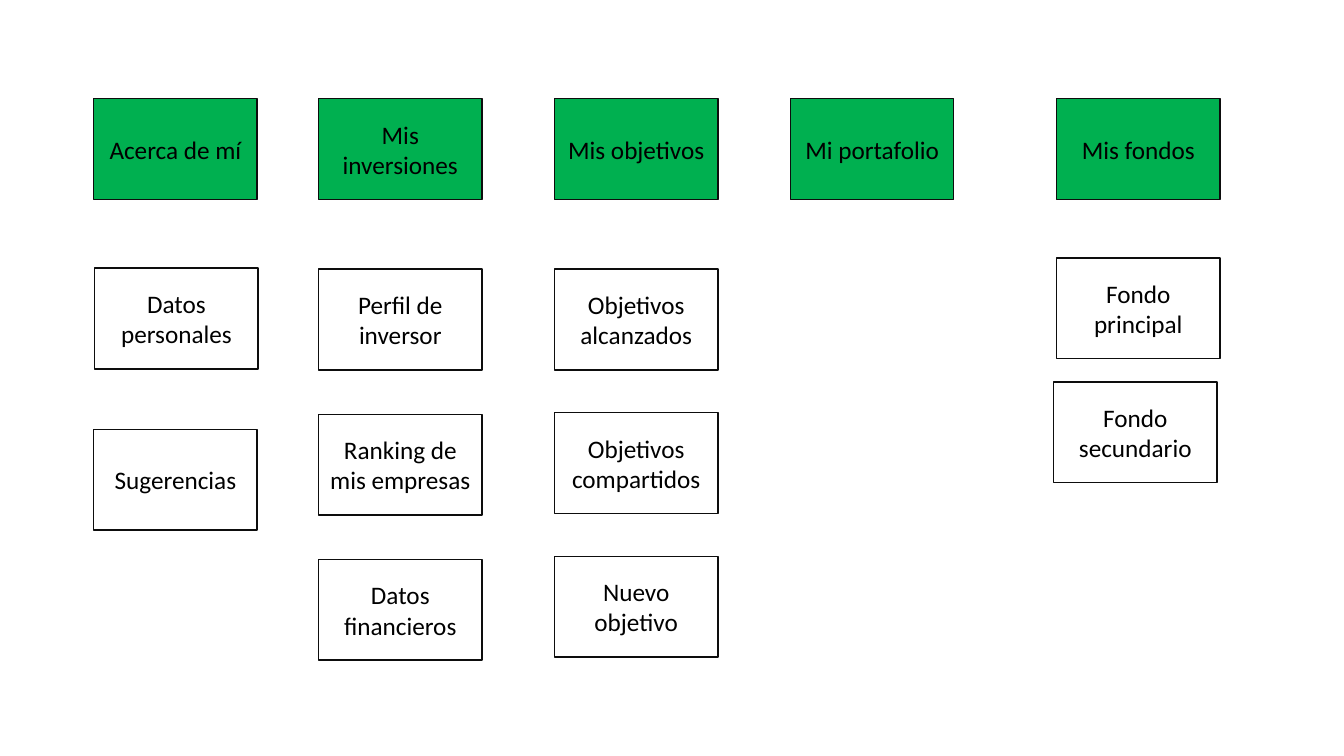
from dataclasses import dataclass

from pptx import Presentation
from pptx.dml.color import RGBColor
from pptx.enum.shapes import MSO_SHAPE
from pptx.enum.text import MSO_ANCHOR, PP_ALIGN
from pptx.util import Inches, Pt


@dataclass(frozen=True)
class Theme:
    """Colours, type and line sizes of the slide."""
    green: RGBColor = RGBColor(0x00, 0xB0, 0x50)
    edge: RGBColor = RGBColor(0x0D, 0x0D, 0x0D)
    ink: RGBColor = RGBColor(0, 0, 0)
    font: str = "Calibri"
    size: Pt = Pt(18)
    rule: Pt = Pt(1)


THEME = Theme()
CELL = Inches(0.1)  # one grid column or row
WIDE, HIGH = 16.2, 10  # card size in cells
TOP = 9.8  # row of the menu heads

# column, head, rows from head to first card, rows between cards,
# cards with their small shift in columns
MENUS = [
    (9.3, "Acerca de mí", 16.8, 16,
     [("Datos personales", 0.1), ("Sugerencias", 0)]),
    (31.6, "Mis inversiones", 16.9, 14.4,
     [("Perfil de inversor", 0), ("Ranking de mis empresas", 0),
      ("Datos financieros", 0)]),
    (55, "Mis objetivos", 16.9, 14.25,
     [("Objetivos alcanzados", 0), ("Objetivos compartidos", 0),
      ("Nuevo objetivo", 0)]),
    (78.4, "Mi portafolio", 0, 0, []),
    (104.8, "Mis fondos", 15.8, 12.3,
     [("Fondo principal", 0), ("Fondo secundario", -0.3)]),
]


def style(item, values):
    """Set each attribute named in values."""
    for name, value in values.items():
        setattr(item, name, value)


def add_card(slide, box, text, fill=None):
    """Place one outlined card in a box given in grid cells."""
    spot = [round(n * CELL) for n in box]
    card = slide.shapes.add_shape(MSO_SHAPE.RECTANGLE, *spot)
    card.shadow.inherit = False
    if fill is None:
        card.fill.background()
    else:
        card.fill.solid()
        card.fill.fore_color.rgb = fill
    card.line.color.rgb = THEME.edge
    card.line.width = THEME.rule
    frame = card.text_frame
    style(frame, {"word_wrap": True, "vertical_anchor": MSO_ANCHOR.MIDDLE})
    para = frame.paragraphs[0]
    para.alignment = PP_ALIGN.CENTER
    run = para.add_run()
    run.text = text
    style(run.font, {"name": THEME.font, "size": THEME.size})
    run.font.color.rgb = THEME.ink


def add_menu(slide, box, head, drop, step, cards):
    """Place a green head in the box and its cards below it."""
    left, top, wide, high = box
    add_card(slide, box, head, THEME.green)
    for row, (text, shift) in enumerate(cards):
        place = (left + shift, top + drop + row * step, wide, high)
        add_card(slide, place, text)


def build():
    """Build the site map slide and save it."""
    deck = Presentation()
    style(deck, {"slide_width": Inches(13.33), "slide_height": Inches(7.5)})
    slide = deck.slides.add_slide(deck.slide_layouts.get_by_name("Blank"))
    for left, *menu in MENUS:
        add_menu(slide, (left, TOP, WIDE, HIGH), *menu)
    deck.save("out.pptx")


build()
